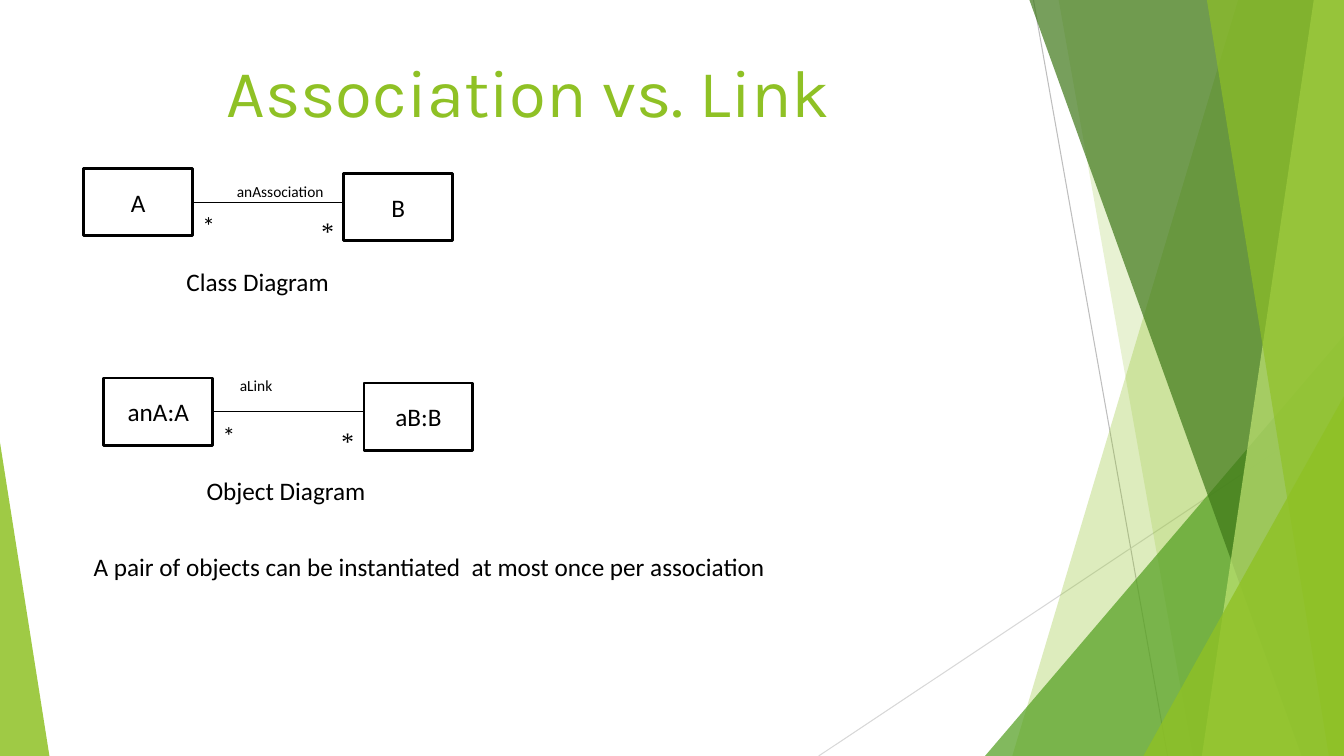
from lxml import etree
from pptx import Presentation
from pptx.dml.color import RGBColor
from pptx.enum.shapes import MSO_CONNECTOR, MSO_SHAPE
from pptx.enum.text import MSO_ANCHOR, MSO_AUTO_SIZE, PP_ALIGN
from pptx.oxml.ns import qn
from pptx.util import Inches, Pt

WIDE, HIGH = 13.33, 7.5
LIME, BLACK, WHITE = "8FC125", "000000", "FFFFFF"
BODY = "Calibri"

RAYS = [
    ((10.25, 0), (11.58, HIGH), "BEBEBE"),
    ((WIDE, 4.03), (8.12, HIGH), "D8D8D8"),
]
RIGHT = [
    (12.28, 0, 10.04, LIME, 30),
    (10.5, 0, 11.83, LIME, 20),
    (WIDE, 3.33, 9.77, "539F20", 72),
    (10.21, 0, 12.91, "3E7718", 70),
    (13.03, 0, 11.92, "BFE373", 70),
    (11.97, 0, 13.18, LIME, 65),
    (WIDE, 3.93, 11.34, LIME, 80),
]
LEFT = [(0, 4.39), (0, HIGH), (0.49, HIGH)]

TITLE = "Association vs. Link"
NOTE = "A pair of objects can be instantiated  at most once per association"
PAIRS = [
    (0.83, 1.67, "A", "B", "anAssociation", (1.42, 0.09), "Class Diagram"),
    (1.03, 3.75, "anA:A", "aB:B", "aLink", (1.25, -0.07), "Object Diagram"),
]
BOX_W, BOX_H, GAP, DROP = 1.08, 0.67, 1.5, 0.05

deck = Presentation()
deck.slide_width, deck.slide_height = Inches(WIDE), Inches(HIGH)
slide = deck.slides.add_slide(deck.slide_layouts[6])
shapes = slide.shapes


def tint(form, color):
    form.solid()
    form.fore_color.rgb = RGBColor.from_string(color)


def facet(points, color, alpha):
    spots = [(Inches(x), Inches(y)) for x, y in points]
    pen = shapes.build_freeform(*spots[0])
    pen.add_line_segments(spots[1:], close=True)
    shape = pen.convert_to_shape()
    shape.shadow.inherit = False
    shape.line.fill.background()
    tint(shape.fill, color)
    tone = shape.fill._xPr.find(qn("a:solidFill"))[0]
    etree.SubElement(tone, qn("a:alpha")).set("val", str(alpha * 1000))


def wire(start, end, color):
    line = shapes.add_connector(
        MSO_CONNECTOR.STRAIGHT, *[Inches(n) for n in (*start, *end)])
    tint(line.line.fill, color)
    line.line.width = Pt(0.75)
    etree.SubElement(line._element.spPr, qn("a:effectLst"))
    return line


def write(frame, text, size=18, font=BODY, color=BLACK, align=PP_ALIGN.LEFT):
    para = frame.paragraphs[0]
    para.alignment = align
    run = para.add_run()
    run.text = text
    run.font.size, run.font.name = Pt(size), font
    run.font.color.rgb = RGBColor.from_string(color)


def label(x, y, w, h, text, wrap=True, **style):
    area = shapes.add_textbox(Inches(x), Inches(y), Inches(w), Inches(h))
    frame = area.text_frame
    frame.word_wrap = wrap
    frame.auto_size = MSO_AUTO_SIZE.SHAPE_TO_FIT_TEXT
    write(frame, text, **style)
    return frame


def box(x, y, text):
    shape = shapes.add_shape(
        MSO_SHAPE.RECTANGLE, *[Inches(n) for n in (x, y, BOX_W, BOX_H)])
    shape.shadow.inherit = False
    tint(shape.fill, WHITE)
    tint(shape.line.fill, BLACK)
    shape.line.width = Pt(2)
    shape.text_frame.vertical_anchor = MSO_ANCHOR.MIDDLE
    write(shape.text_frame, text, align=PP_ALIGN.CENTER)
    return shape


for start, end, color in RAYS:
    wire(start, end, color)
for x, y, foot, color, alpha in RIGHT:
    edge = [(WIDE, y), (x, y)] if x < WIDE else [(x, y)]
    facet(edge + [(foot, HIGH), (WIDE, HIGH)], color, alpha)
facet(LEFT, LIME, 85)

head = label(2.25, 0.5, 8.25, 0.81, TITLE, size=48, font="Karla", color=LIME)
head.margin_left = head.margin_right = 0
head.margin_top = head.margin_bottom = 0

for x, y, first, second, name, (dx, dy), caption in PAIRS:
    near = x + BOX_W
    far = near + GAP
    mid = y + BOX_H / 2
    one = box(x, y, first)
    box(far, y + DROP, second)
    wire((near, mid), (far, mid), BLACK).begin_connect(one, 3)
    label(near, y + 0.37, 0.33, 0.4, "*", wrap=False)
    label(far - 0.35, y + 0.42, 0.35, 0.4, "*", wrap=False,
          font="Times New Roman", align=PP_ALIGN.RIGHT)
    label(x + 0.92, y + 0.92, 2.08, 0.4, caption)
    label(x + dx, y + dy, 1.08, 0.29, name, size=11)

label(0.83, 5.42, 9.75, 0.4, NOTE)

deck.save("out.pptx")
